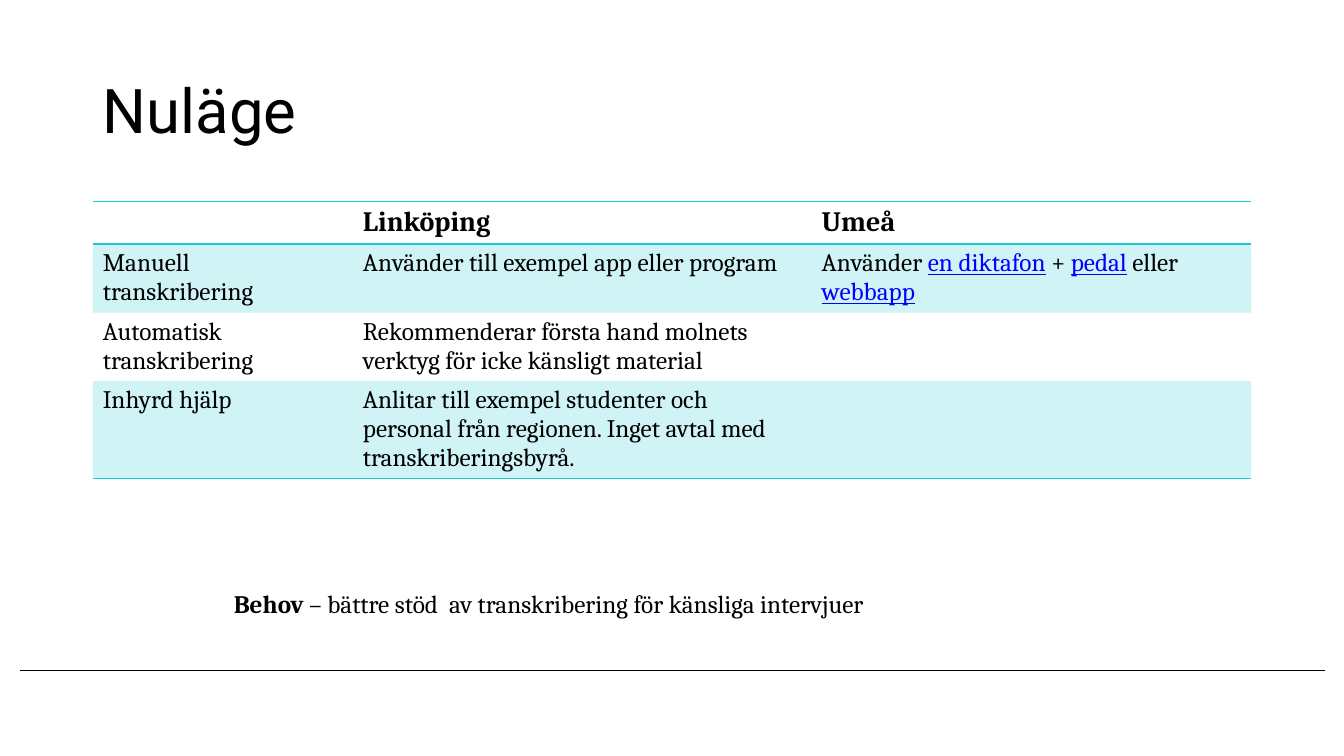
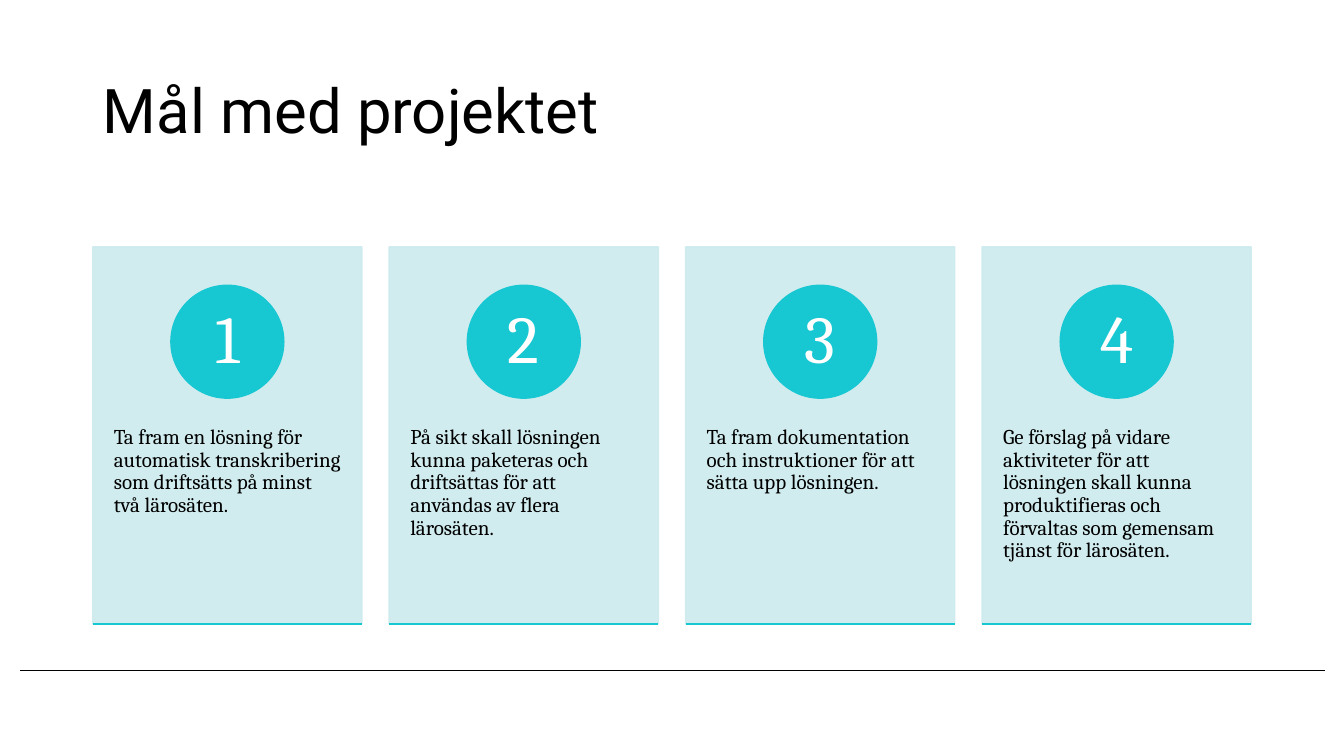
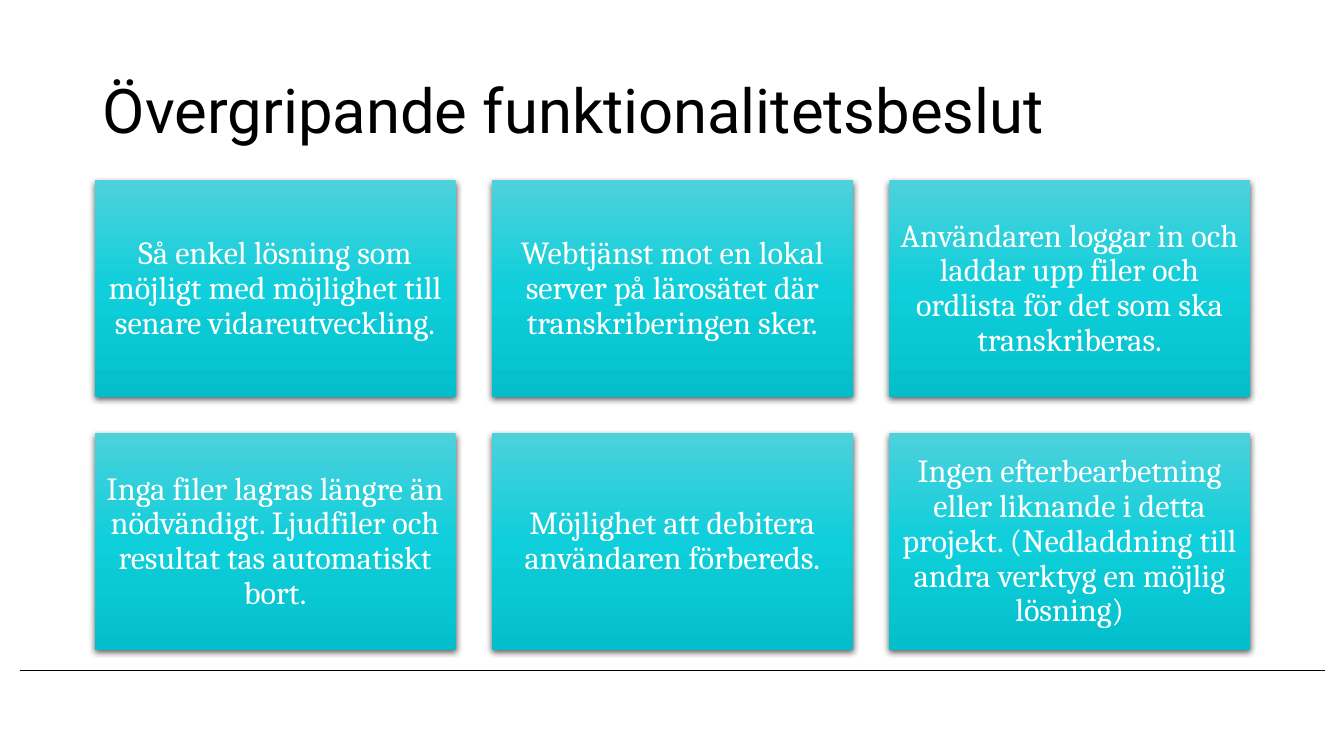
from lxml.etree import SubElement
from pptx import Presentation
from pptx.dml.color import RGBColor
from pptx.enum.shapes import MSO_CONNECTOR, MSO_SHAPE
from pptx.enum.text import MSO_ANCHOR, MSO_AUTO_SIZE, PP_ALIGN
from pptx.oxml.ns import qn
from pptx.util import Inches, Pt

COLORS = {
    "black": "000000",
    "white": "FFFFFF",
    "teal": "17C7D2",
    "card": "CCEBEE",
    "link": "0000FF",
}
TILE_STOPS = {0: "4DD1DC", 50: "0ECFDB", 100: "04BFCB"}
BODY_FONT, TITLE_FONT = "Cambria", "Roboto"
NO_TABLE_STYLE = "{2D5ABB26-0587-4C30-8999-92F81FD0307C}"
LEFT, CONTENT_WIDTH = 0.92, 11.5

BOLD = {"bold": True}
LINK = {"color": "link", "underline": True}

COLUMN_WIDTHS = (2.58, 4.55, 4.36)
ROW_HEIGHTS = (0.42, 0.68, 0.68, 0.97)
STATUS_ROWS = [
    ("", "Linköping", "Umeå"),
    (
        "Manuell transkribering",
        "Använder till exempel app eller program",
        [("Använder ", {}), ("en diktafon", LINK), (" + ", {}),
         ("pedal", LINK), (" eller ", {}), ("webbapp", LINK)],
    ),
    (
        "Automatisk transkribering",
        "Rekommenderar första hand molnets verktyg för icke känsligt material",
        "",
    ),
    (
        "Inhyrd hjälp",
        "Anlitar till exempel studenter och personal från regionen. "
        "Inget avtal med transkriberingsbyrå.",
        "",
    ),
]
NEED = [
    ("Behov", BOLD),
    (" – bättre stöd  av transkribering för känsliga intervjuer", {}),
]
GOALS = [
    "Ta fram en lösning för automatisk transkribering som driftsätts på minst två lärosäten.",
    "På sikt skall lösningen kunna paketeras och driftsättas för att användas av flera lärosäten.",
    "Ta fram dokumentation och instruktioner för att sätta upp lösningen.",
    "Ge förslag på vidare aktiviteter för att lösningen skall kunna produktifieras "
    "och förvaltas som gemensam tjänst för lärosäten.",
]
DECISIONS = [
    "Så enkel lösning som möjligt med möjlighet till senare vidareutveckling.",
    "Webtjänst mot en lokal server på lärosätet där transkriberingen sker.",
    "Användaren loggar in och laddar upp filer och ordlista för det som ska transkriberas.",
    "Inga filer lagras längre än nödvändigt. Ljudfiler och resultat tas automatiskt bort.",
    "Möjlighet att debitera användaren förbereds.",
    "Ingen efterbearbetning eller liknande i detta projekt. "
    "(Nedladdning till andra verktyg en möjlig lösning)",
]


def rgb(name):
    """Return the palette colour with this name."""
    return RGBColor.from_string(COLORS[name])


def write_text(frame, text, size=18, font=BODY_FONT, color="black", bold=False,
               align=PP_ALIGN.LEFT, spacing=1.0, anchor=MSO_ANCHOR.TOP, insets=None):
    """Write a string or a list of (text, changes) runs into a text frame."""
    frame.word_wrap = True
    frame.auto_size = MSO_AUTO_SIZE.NONE
    frame.vertical_anchor = anchor
    if insets:
        (frame.margin_left, frame.margin_top,
         frame.margin_right, frame.margin_bottom) = map(Inches, insets)
    paragraph = frame.paragraphs[0]
    paragraph.alignment = align
    paragraph.line_spacing = spacing
    for words, changes in [(text, {})] if isinstance(text, str) else text:
        run = paragraph.add_run()
        run.text = words
        run.font.name = font
        run.font.size = Pt(size)
        run.font.bold = changes.get("bold", bold)
        run.font.underline = changes.get("underline", False)
        run.font.color.rgb = rgb(changes.get("color", color))


def set_opacity(properties, percent):
    """Make every colour inside these properties partly transparent."""
    for tint in properties.iter(qn("a:srgbClr")):
        SubElement(tint, qn("a:alpha"), val=str(percent * 1000))


def add_rule(slide, left, right, y, color, width):
    """Draw a horizontal line without a shadow."""
    rule = slide.shapes.add_connector(
        MSO_CONNECTOR.STRAIGHT, Inches(left), Inches(y), Inches(right), Inches(y))
    rule.line.color.rgb = rgb(color)
    rule.line.width = Pt(width)
    SubElement(rule.element.spPr, qn("a:effectLst"))


def add_filled(slide, kind, box, color):
    """Add a shape whose fill and outline share one colour."""
    shape = slide.shapes.add_shape(kind, *map(Inches, box))
    shape.shadow.inherit = False
    shape.fill.solid()
    shape.fill.fore_color.rgb = rgb(color)
    shape.line.color.rgb = rgb(color)
    shape.line.width = Pt(1)
    return shape


def add_titled_slide(deck, heading):
    """Add a slide with the shared title style and bottom rule."""
    slide = deck.slides.add_slide(deck.slide_layouts[5])
    title = slide.shapes.title
    title.left, title.top, title.width, title.height = map(
        Inches, (LEFT, 0.4, CONTENT_WIDTH, 1.45))
    write_text(title.text_frame, heading, size=44, font=TITLE_FONT,
               spacing=0.9, anchor=MSO_ANCHOR.MIDDLE)
    add_rule(slide, 0.2, 13.14, 6.65, "black", 0.5)
    return slide


def add_cell_border(cell, side):
    """Add a teal border to the top (lnT) or bottom (lnB) of a cell."""
    properties = cell._tc.get_or_add_tcPr()
    border = properties.makeelement(qn(f"a:{side}"), {"w": str(Pt(1))})
    fill = SubElement(border, qn("a:solidFill"))
    SubElement(fill, qn("a:srgbClr"), val=COLORS["teal"])
    properties.insert(0, border)


def add_status_table(slide):
    """Add the comparison table with shaded alternate rows."""
    frame = slide.shapes.add_table(
        len(STATUS_ROWS), len(COLUMN_WIDTHS), Inches(LEFT), Inches(2),
        Inches(CONTENT_WIDTH), Inches(sum(ROW_HEIGHTS)))
    next(frame.element.iter(qn("a:tableStyleId"))).text = NO_TABLE_STYLE
    table = frame.table
    table.horz_banding = False
    for column, width in zip(table.columns, COLUMN_WIDTHS):
        column.width = Inches(width)
    for index, (row, texts) in enumerate(zip(table.rows, STATUS_ROWS)):
        row.height = Inches(ROW_HEIGHTS[index])
        header = index == 0
        for cell, text in zip(row.cells, texts):
            if text:
                write_text(cell.text_frame, text, size=20 if header else 18, bold=header)
            if index % 2:
                cell.fill.solid()
                cell.fill.fore_color.rgb = rgb("teal")
                set_opacity(cell._tc.tcPr, 20)
            else:
                cell.fill.background()
            if header or index == len(STATUS_ROWS) - 1:
                add_cell_border(cell, "lnB")
            if header:
                add_cell_border(cell, "lnT")


def add_goal_card(slide, number, goal):
    """Add one numbered goal card in the row."""
    top, width, height, badge_size = 2.45, 2.67, 3.74, 1.12
    left = LEFT + (number - 1) * (width + 0.27)
    card = add_filled(slide, MSO_SHAPE.RECTANGLE, (left, top, width, height), "card")
    set_opacity(card.element.spPr, 90)
    write_text(card.text_frame, goal, size=15, spacing=0.9, insets=(0.21, 1.78, 0.21, 0.36))
    badge_left = left + (width - badge_size) / 2
    badge = add_filled(slide, MSO_SHAPE.OVAL,
                       (badge_left, top + 0.38, badge_size, badge_size), "teal")
    write_text(badge.text_frame, str(number), size=48, color="white", spacing=0.9,
               align=PP_ALIGN.CENTER, anchor=MSO_ANCHOR.MIDDLE, insets=(0, 0, 0, 0))
    add_rule(slide, left, left + width, top + height, "teal", 1)


def add_decision_tile(slide, index, decision):
    """Add one gradient tile in the three-column grid."""
    width, height, gap = 3.58, 2.15, 0.36
    row, column = divmod(index, 3)
    box = (0.94 + column * (width + gap), 1.79 + row * (height + gap), width, height)
    tile = slide.shapes.add_shape(MSO_SHAPE.RECTANGLE, *map(Inches, box))
    tile.line.fill.background()
    tile.fill.gradient()
    tile.fill.gradient_angle = 270
    stops = next(tile.element.iter(qn("a:gsLst")))
    stops.clear()
    for position, tint in TILE_STOPS.items():
        stop = SubElement(stops, qn("a:gs"), pos=str(position * 1000))
        SubElement(stop, qn("a:srgbClr"), val=tint)
    tile.shadow.inherit = False
    effects = tile.element.spPr.find(qn("a:effectLst"))
    shadow = SubElement(effects, qn("a:outerShdw"), blurRad=str(Pt(4.5)),
                        dist=str(Pt(1.5)), dir="5400000", algn="ctr", rotWithShape="0")
    SubElement(shadow, qn("a:srgbClr"), val=COLORS["black"])
    set_opacity(shadow, 63)
    write_text(tile.text_frame, decision, size=23, color="white", spacing=0.9,
               align=PP_ALIGN.CENTER, anchor=MSO_ANCHOR.MIDDLE, insets=(0.1,) * 4)


def main():
    """Build and save the three slides."""
    deck = Presentation()
    deck.slide_width, deck.slide_height = Inches(13.33), Inches(7.5)

    status = add_titled_slide(deck, "Nuläge")
    add_status_table(status)
    need = status.shapes.add_textbox(*map(Inches, (2.22, 5.79, 8.48, 0.4)))
    write_text(need.text_frame, NEED)

    goals = add_titled_slide(deck, "Mål med projektet")
    for number, goal in enumerate(GOALS, 1):
        add_goal_card(goals, number, goal)

    decisions = add_titled_slide(deck, "Övergripande funktionalitetsbeslut")
    for index, decision in enumerate(DECISIONS):
        add_decision_tile(decisions, index, decision)

    deck.save("out.pptx")


if __name__ == "__main__":
    main()
